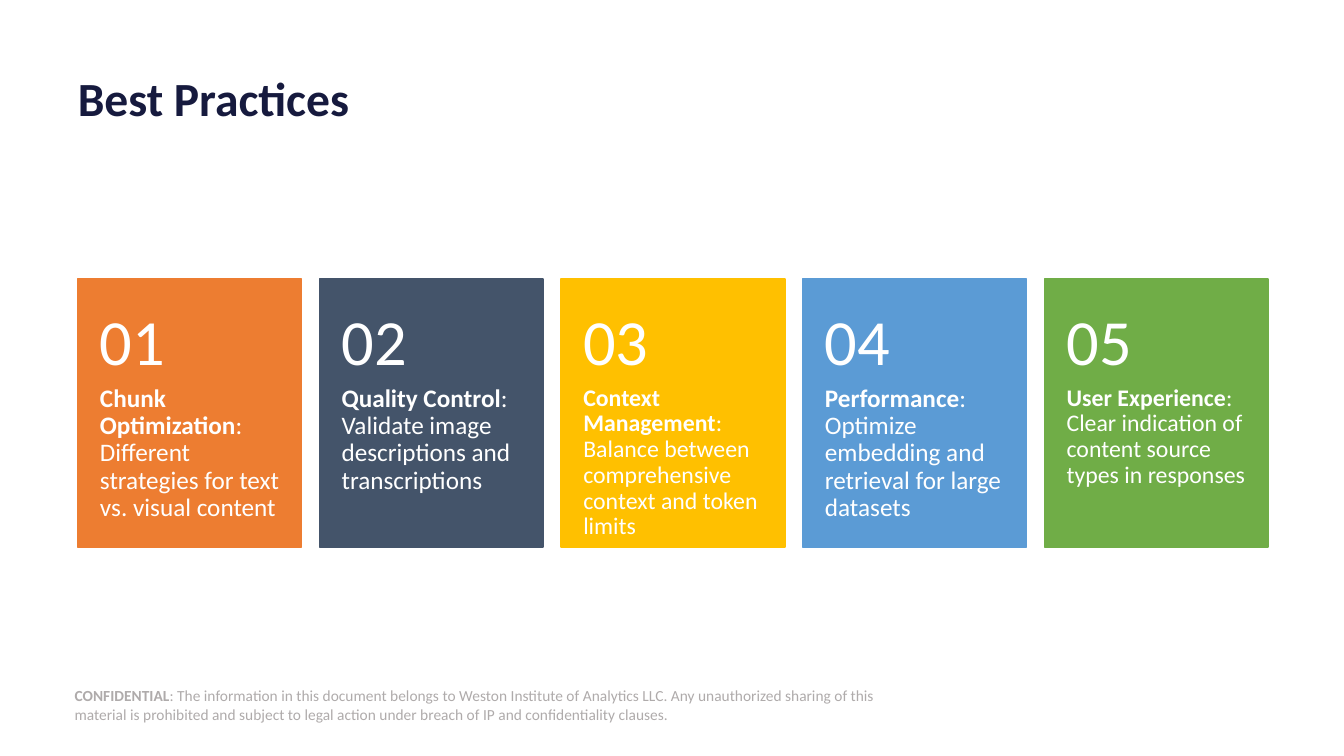
from pptx import Presentation
from pptx import util as u
from pptx.dml.color import RGBColor
from pptx.enum import shapes, text

COLORS = {
    "white": "FFFFFF", "navy": "161A3E", "gray": "AFABAB",
    "orange": "ED7D31", "slate": "44546A", "gold": "FFC000",
    "blue": "5B9BD5", "green": "70AD47",
}

# Fill, heading, advice, text size
PRACTICES = [
    ("orange", "Chunk Optimization",
     ": Different strategies for text vs. visual content", 18),
    ("slate", "Quality Control",
     ": Validate image descriptions and transcriptions", 18),
    ("gold", "Context Management",
     ": Balance between comprehensive context and token limits", 17),
    ("blue", "Performance",
     ": Optimize embedding and retrieval for large datasets", 18),
    ("green", "User Experience",
     ": Clear indication of content source types in responses", 17),
]

CARD_LEFT, CARD_TOP, CARD_STEP = 1.96, 7.03, 6.09
CARD_WIDTH, CARD_HEIGHT = 5.64, 6.76
NUMBER_TOP, NUMBER_HEIGHT = 7.34, 2.69
ADVICE_TOP, ADVICE_HEIGHT = 9.72, 4.06
SIDE_INSET = 0.56


class Deck:
    font = "Calibri"

    def __init__(self):
        self.prs = Presentation()
        self.prs.slide_width = u.Cm(33.87)
        self.prs.slide_height = u.Cm(19.05)
        title_only = self.prs.slide_layouts[5]
        self.slide = self.prs.slides.add_slide(title_only)

    def add_runs(self, shape, runs, size, color, insets=(0, 0, 0, 0),
                 anchor=text.MSO_ANCHOR.MIDDLE, spacing=0.9):
        """Fill a shape with one paragraph of (words, bold) runs."""
        frame = shape.text_frame
        frame.word_wrap = True
        frame.auto_size = text.MSO_AUTO_SIZE.NONE
        frame.vertical_anchor = anchor
        (frame.margin_left, frame.margin_top,
         frame.margin_right, frame.margin_bottom) = map(u.Cm, insets)
        paragraph = frame.paragraphs[0]
        paragraph.alignment = text.PP_ALIGN.LEFT
        paragraph.line_spacing = spacing
        for words, bold in runs:
            run = paragraph.add_run()
            run.text = words
            run.font.name = self.font
            run.font.size = u.Pt(size)
            run.font.bold = bold
            run.font.color.rgb = RGBColor.from_string(COLORS[color])

    def title(self, words, *place):
        heading = self.slide.shapes.title
        (heading.left, heading.top,
         heading.width, heading.height) = map(u.Cm, place)
        self.add_runs(heading, [(words, True)], 34, "navy")

    def panel(self, parent, color, *place, outlined=True):
        panel = parent.add_shape(shapes.MSO_SHAPE.RECTANGLE, *map(u.Cm, place))
        panel.shadow.inherit = False
        panel.fill.solid()
        panel.fill.fore_color.rgb = RGBColor.from_string(COLORS[color])
        if outlined:
            panel.line.color.rgb = RGBColor.from_string(COLORS[color])
            panel.line.width = u.Pt(1)
        else:
            panel.line.fill.background()
        return panel

    def label(self, parent, place, runs, size, **style):
        box = parent.add_textbox(*map(u.Cm, place))
        self.add_runs(box, runs, size, "white", **style)

    def card(self, index, color, heading, advice, size):
        left = CARD_LEFT + index * CARD_STEP
        card = self.slide.shapes.add_group_shape().shapes
        self.panel(card, color, left, CARD_TOP, CARD_WIDTH, CARD_HEIGHT)
        self.label(card, (left, ADVICE_TOP, CARD_WIDTH, ADVICE_HEIGHT),
                   [(heading, True), (advice, False)], size,
                   insets=(SIDE_INSET, 0, SIDE_INSET, 0.91),
                   anchor=text.MSO_ANCHOR.TOP)
        self.label(card, (left, NUMBER_TOP, CARD_WIDTH, NUMBER_HEIGHT),
                   [(f"{index + 1:02}", False)], 46,
                   insets=(SIDE_INSET, 0.46, SIDE_INSET, 0.46))

    def footer(self, runs, *place):
        notice = self.panel(self.slide.shapes, "white", *place, outlined=False)
        self.add_runs(notice, runs, 11, "gray", spacing=1.0)


def main():
    deck = Deck()

    # Confidentiality notice
    deck.footer([
        ("CONFIDENTIAL", True),
        (": The information in this document belongs to Weston Institute of "
         "Analytics LLC. Any unauthorized sharing of this material is "
         "prohibited and subject to legal action under breach of IP and "
         "confidentiality clauses.", False),
    ], 1.88, 17.25, 20.75, 1.02)

    # Title
    deck.title("Best Practices", 1.96, 1.55, 29.97, 1.98)

    # Numbered practice cards
    for index, practice in enumerate(PRACTICES):
        deck.card(index, *practice)

    deck.prs.save("out.pptx")


if __name__ == "__main__":
    main()
